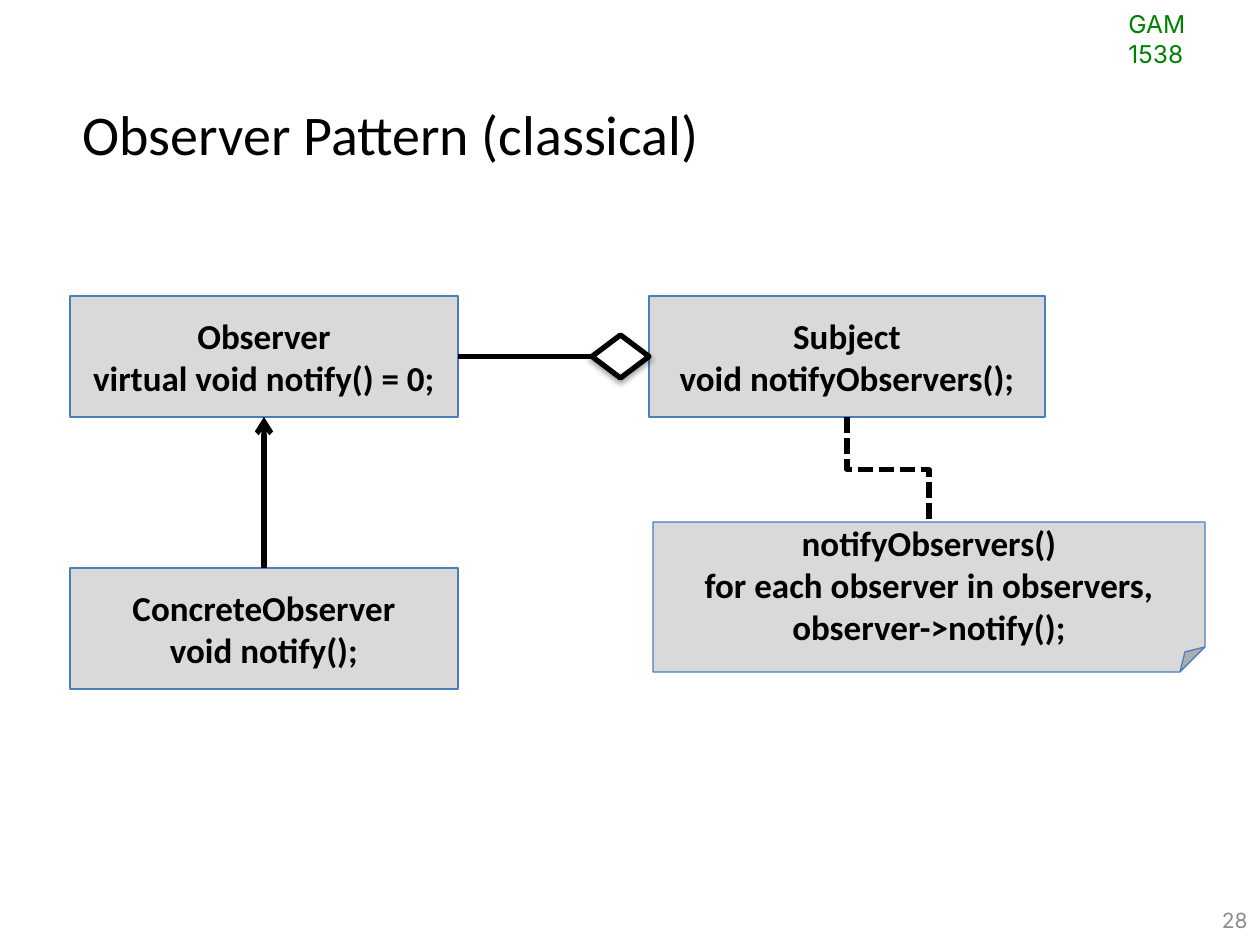
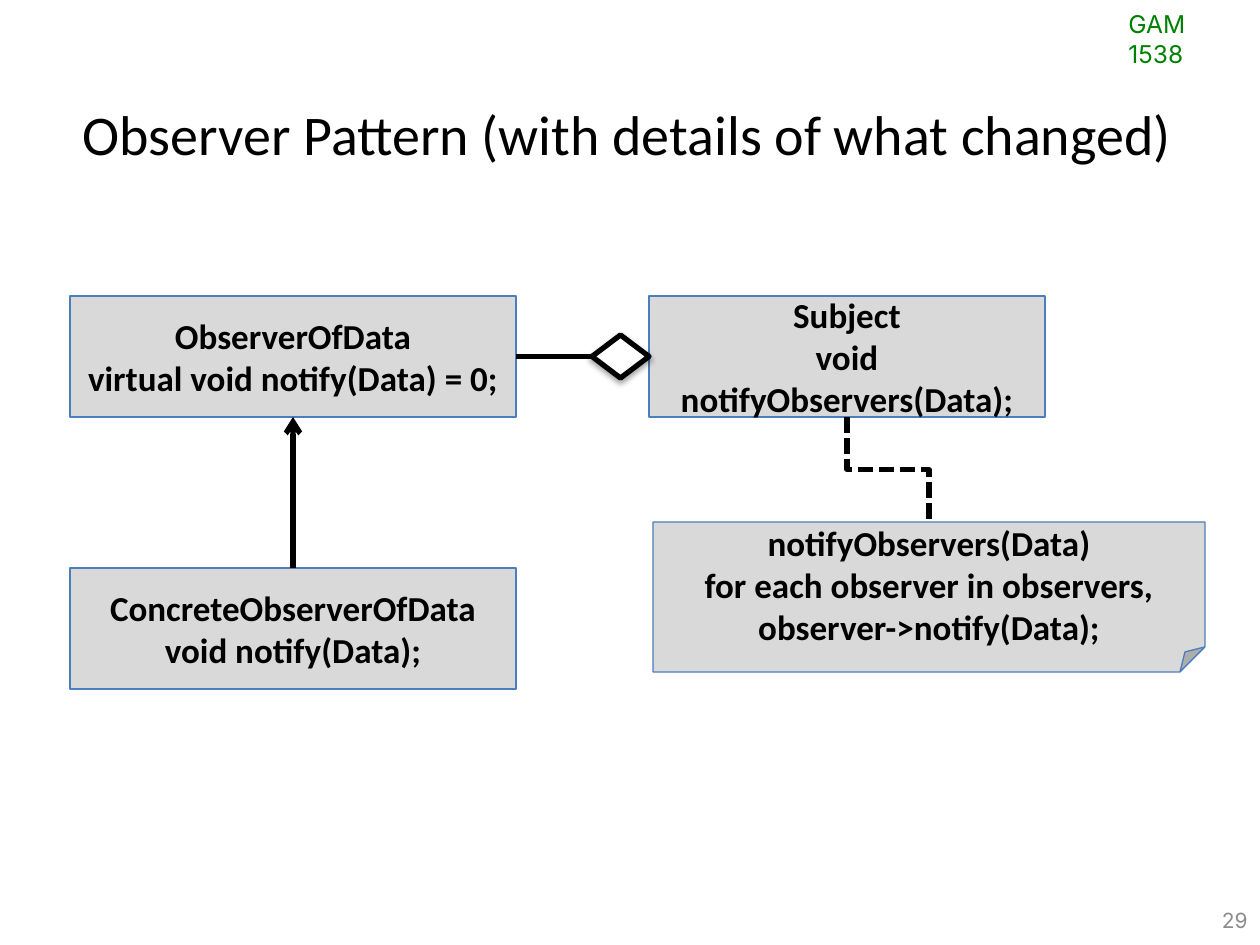
from lxml.etree import SubElement
from pptx import Presentation
from pptx.dml.color import RGBColor
from pptx.enum.dml import MSO_LINE
from pptx.enum.shapes import MSO_CONNECTOR, MSO_SHAPE
from pptx.enum.text import MSO_ANCHOR, MSO_AUTO_SIZE, PP_ALIGN
from pptx.oxml.ns import qn
from pptx.util import Emu, Pt

BLACK, WHITE, GREY, BLUE = "000000", "FFFFFF", "D9D9D9", "4B7EBC"
GREEN, PAGE_GREY = "008000", "8C8C8C"
TITLE_BOX = (70, 93, 1134, 81)
COURSE_BOX = (1116, 3, 140, 43)
PAGE_BOX = (966, 895, 294, 50)
DIAGRAM_BOX = (70, 296, 1135, 393)
CLASS_HEIGHT = 121


def px(length):
    """Turn picture pixels into EMU."""
    return Emu(round(length * 914400 / 126))


def colour(hex_string):
    """Turn a hex string into a colour."""
    return RGBColor.from_string(hex_string)


def write(shape, lines, size, font, ink, align=PP_ALIGN.LEFT, anchor=MSO_ANCHOR.TOP, bold=False):
    """Fill a shape with one paragraph per line in one style."""
    frame = shape.text_frame
    frame.text = "\n".join(lines)
    frame.word_wrap = True
    frame.auto_size = MSO_AUTO_SIZE.NONE
    frame.vertical_anchor = anchor
    for paragraph in frame.paragraphs:
        paragraph.alignment = align
        paragraph.font.size = Pt(size)
        paragraph.font.name = font
        paragraph.font.bold = bold
        paragraph.font.color.rgb = colour(ink)


def add_frame(slide, title, number):
    """Place the title, course label and page number."""
    heading = slide.shapes.title
    heading.left, heading.top, heading.width, heading.height = map(px, TITLE_BOX)
    write(heading, [title], 32, "Calibri", BLACK)
    course = slide.shapes.add_textbox(*map(px, COURSE_BOX))
    write(course, ["GAM 1538"], 14, "Inter", GREEN)
    page = slide.shapes.add_textbox(*map(px, PAGE_BOX))
    write(page, [str(number)], 12, "Inter", PAGE_GREY, PP_ALIGN.RIGHT, MSO_ANCHOR.MIDDLE)


def add_shape(slide, kind, box, fill, line, width):
    """Add a filled, outlined shape without a shadow."""
    shape = slide.shapes.add_shape(kind, *map(px, box))
    shape.fill.solid()
    shape.fill.fore_color.rgb = colour(fill)
    shape.line.color.rgb = colour(line)
    shape.line.width = Pt(width)
    shape.shadow.inherit = False
    return shape


def add_text_box(slide, box, lines, kind=MSO_SHAPE.RECTANGLE):
    """Add a grey class box or note with bold centred lines."""
    shape = add_shape(slide, kind, box, GREY, BLUE, 0.75)
    write(shape, lines, 20, "Calibri", BLACK, PP_ALIGN.CENTER, MSO_ANCHOR.MIDDLE, True)
    return shape


def add_diamond(slide, box):
    """Add the aggregation diamond with its soft shadow."""
    diamond = add_shape(slide, MSO_SHAPE.DIAMOND, box, WHITE, BLACK, 3)
    effects = diamond.element.spPr.find(qn("a:effectLst"))
    shadow = SubElement(effects, qn("a:outerShdw"), blurRad="40000", dist="23000", dir="5400000", rotWithShape="0")
    ink = SubElement(shadow, qn("a:srgbClr"), val=BLACK)
    SubElement(ink, qn("a:alpha"), val="35000")
    return diamond


def add_line(slide, kind, start, end, dash=None, arrow=False):
    """Add a thick black connector between two points."""
    connector = slide.shapes.add_connector(kind, *map(px, start + end))
    connector.line.color.rgb = colour(BLACK)
    connector.line.width = Pt(3)
    if dash:
        connector.line.dash_style = dash
    if arrow:
        SubElement(connector.line._get_or_add_ln(), qn("a:tailEnd"), type="arrow")
    SubElement(connector.element.spPr, qn("a:effectLst"))
    return connector


def link(slide, source, source_site, target, target_site, arrow=False):
    """Glue a straight connector to sites of two shapes."""
    connector = add_line(slide, MSO_CONNECTOR.STRAIGHT, (0, 0), (1, 1), arrow=arrow)
    connector.begin_connect(source, source_site)
    connector.end_connect(target, target_site)


def add_vertical_elbow(slide, start, end):
    """Add a dashed elbow that leaves and arrives vertically."""
    middle_x, middle_y = (start[0] + end[0]) / 2, (start[1] + end[1]) / 2
    half_run, half_rise = (end[1] - start[1]) / 2, (end[0] - start[0]) / 2
    elbow = add_line(
        slide,
        MSO_CONNECTOR.ELBOW,
        (middle_x + half_run, middle_y - half_rise),
        (middle_x - half_run, middle_y + half_rise),
        MSO_LINE.SQUARE_DOT,
    )
    elbow.element.spPr.find(qn("a:xfrm")).set("rot", str(270 * 60000))


def add_diagram(slide, box, observer_width, prefix, data):
    """Draw the observer class diagram for one kind of notification."""
    left, top, width, height = box
    subject_left, note_left, note_top = left + 579, left + 583, top + 226
    subject_width, note_width = 396, width - 583
    middle = top + CLASS_HEIGHT / 2
    observer = add_text_box(
        slide, (left, top, observer_width, CLASS_HEIGHT),
        [f"Observer{prefix}", f"virtual void notify({data}) = 0;"])
    add_text_box(
        slide, (subject_left, top, subject_width, CLASS_HEIGHT),
        ["Subject", f"void notifyObservers({data});"])
    add_text_box(
        slide, (note_left, note_top, note_width, 150),
        [f"notifyObservers({data})", "for each observer in observers,", f"observer->notify({data});"],
        MSO_SHAPE.FOLDED_CORNER)
    concrete = add_text_box(
        slide, (left, top + height - CLASS_HEIGHT, observer_width, CLASS_HEIGHT),
        [f"ConcreteObserver{prefix}", f"void notify({data});"])
    diamond = add_diamond(slide, (subject_left - 57, middle - 21.5, 57, 43))
    link(slide, diamond, 1, observer, 3)
    link(slide, concrete, 0, observer, 2, arrow=True)
    add_vertical_elbow(
        slide,
        (subject_left + subject_width / 2, top + CLASS_HEIGHT),
        (note_left + note_width / 2, note_top))


def build():
    """Build and save the presentation."""
    presentation = Presentation()
    presentation.slide_width, presentation.slide_height = px(1260), px(945)
    variants = [
        ("Observer Pattern (classical)", 388, "", ""),
        ("Observer Pattern (with details of what changed)", 446, "OfData", "Data"),
    ]
    for number, (title, *diagram) in enumerate(variants, 28):
        slide = presentation.slides.add_slide(presentation.slide_layouts[5])
        add_frame(slide, title, number)
        add_diagram(slide, DIAGRAM_BOX, *diagram)
    presentation.save("out.pptx")


build()
